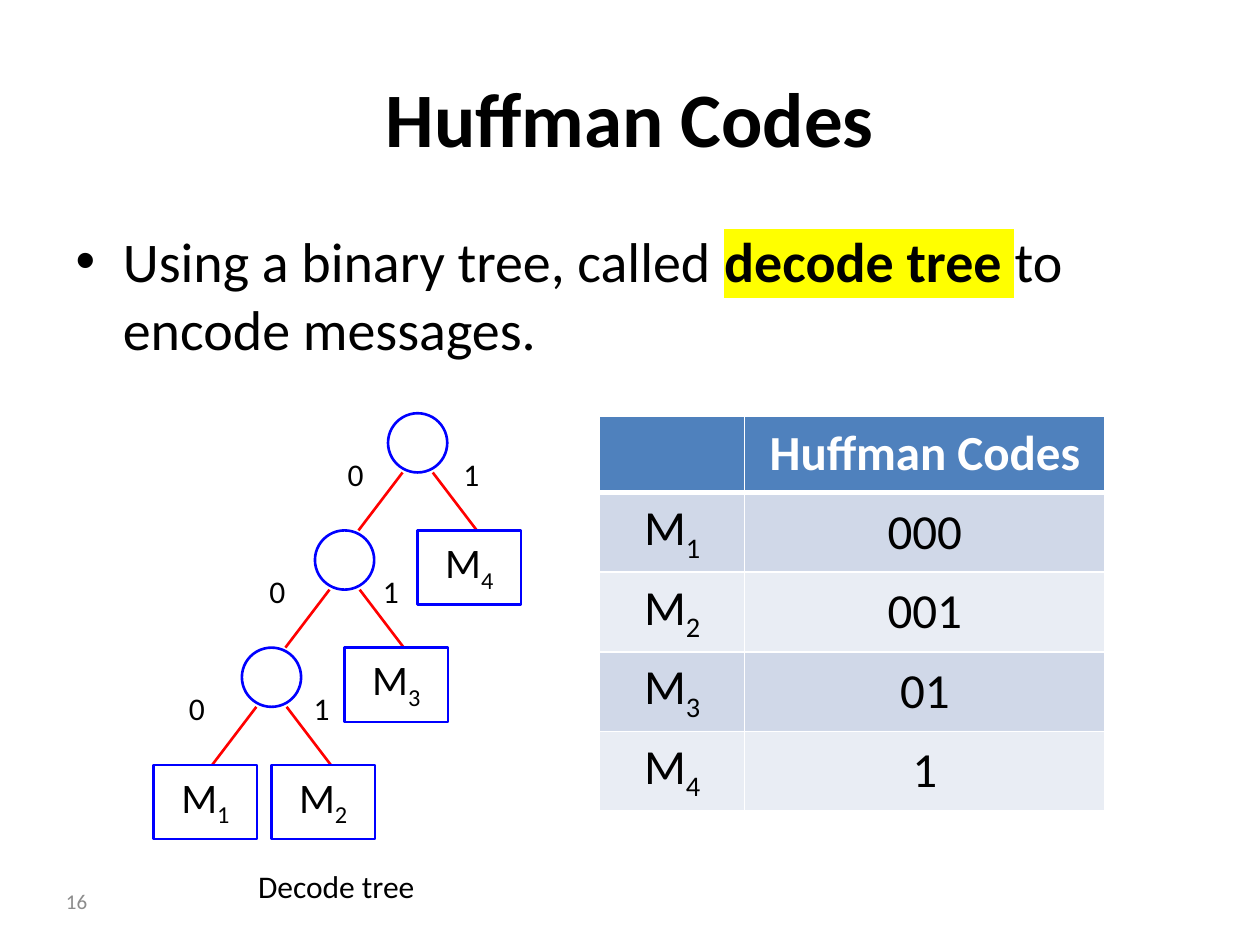
from pptx import Presentation
from pptx.dml.color import RGBColor
from pptx.enum.shapes import MSO_CONNECTOR as Conn, MSO_SHAPE as Geo
from pptx.enum.text import MSO_ANCHOR as Anchor, PP_ALIGN as Align
from pptx.oxml import parse_xml
from pptx.oxml.ns import nsdecls
from pptx.util import Inches, Pt

# Content
TITLE = "Huffman Codes"
BODY = [("Using a binary tree, called ", False), ("decode tree ", True),
        ("to encode messages.", False)]
CODES = [("1", "000"), ("2", "001"), ("3", "01"), ("4", "1")]
# Each level: right leaf, left edge of the 0 and 1 labels
LEVELS = [("4", 2.66, 3.58), ("3", 2.04, 2.94), ("2", 1.4, 2.39)]
CAPTION, NUMBER = "Decode tree", "16"

# Style
FONT = "Calibri"
BLACK, WHITE = RGBColor(0, 0, 0), RGBColor(255, 255, 255)
GRAY = RGBColor(0x8C, 0x8C, 0x8C)
BLUE, RED = RGBColor(0, 0, 255), RGBColor(255, 0, 0)
HEAD = RGBColor(0x4F, 0x81, 0xBD)
BANDS = [RGBColor(0xD0, 0xD8, 0xE8), RGBColor(0xE9, 0xED, 0xF4)]

# Tree grid
TOP_X, TOP_Y = 3.08, 3.28
STEP_X, STEP_Y = 0.58, 0.93
NODE, LEAF_W, LEAF_H = 0.47, 0.82, 0.59

deck = Presentation()
deck.slide_width, deck.slide_height = Inches(10), Inches(7.5)
slide = deck.slides.add_slide(deck.slide_layouts[1])
shapes = slide.shapes


def place(shape, *box):
    shape.left, shape.top, shape.width, shape.height = map(Inches, box)


def style(run, size, color=BLACK, bold=False):
    font = run.font
    font.name, font.size, font.bold = FONT, Pt(size), bold
    font.color.rgb = color


def write(frame, text, size, color=BLACK, bold=False, sub="", align=Align.CENTER):
    para = frame.paragraphs[0]
    para.text, para.alignment = text, align
    style(para.runs[0], size, color, bold)
    if sub:
        low = para.add_run()
        low.text = sub
        style(low, size, color, bold)
        low.font._element.set("baseline", "-25000")


def label(text, box, size=18, color=BLACK, align=Align.LEFT):
    frame = shapes.add_textbox(*map(Inches, box)).text_frame
    frame.word_wrap = False
    write(frame, text, size, color, align=align)
    return frame


def outline(geo, *box):
    shape = shapes.add_shape(geo, *map(Inches, box))
    shape.shadow.inherit = False
    shape.fill.background()
    shape.line.color.rgb, shape.line.width = BLUE, Pt(1.5)
    return shape


def leaf(sub, x, y):
    frame = outline(Geo.RECTANGLE, x, y, LEAF_W, LEAF_H).text_frame
    frame.vertical_anchor = Anchor.TOP
    write(frame, "M", 24, sub=sub)


def edge(*ends):
    line = shapes.add_connector(Conn.STRAIGHT, *map(Inches, ends))
    line.line.color.rgb, line.line.width = RED, Pt(1.5)
    line._element.spPr.append(parse_xml(f"<a:effectLst {nsdecls('a')}/>"))


def border(cell, **widths):
    props = cell._tc.get_or_add_tcPr()
    for side in "LRTB":
        width = Pt(widths.get(side, 1))
        props.append(parse_xml(
            f'<a:ln{side} {nsdecls("a")} w="{width}"><a:solidFill>'
            f'<a:srgbClr val="{WHITE}"/></a:solidFill></a:ln{side}>'))


# Title and bullet
title, body = shapes.title, slide.placeholders[1]
place(title, 0.5, 0.3, 9, 1.25)
write(title.text_frame, TITLE, 44, bold=True)
place(body, 0.5, 1.75, 9, 4.95)
para = body.text_frame.paragraphs[0]
for text, marked in BODY:
    run = para.add_run()
    run.text = text
    style(run, 32, bold=marked)
    if marked:
        fill = run.font._element.find("{*}solidFill")
        fill.addnext(parse_xml(f'<a:highlight {nsdecls("a")}>'
                               '<a:srgbClr val="FFFF00"/></a:highlight>'))

# Decode tree
for level, (sub, zero, one) in enumerate(LEVELS):
    x, y = TOP_X - level * STEP_X, TOP_Y + level * STEP_Y
    mid, low, down = x + NODE / 2, y + NODE, y + STEP_Y
    outline(Geo.OVAL, x, y, NODE, NODE)
    for side in (-1, 1):
        edge(mid + side * 0.12, low, mid + side * 0.47, down)
    leaf(sub, mid, down)
    for text, left in (("0", zero), ("1", one)):
        label(text, (left, y + 0.28, 0.38, 0.47))
leaf("1", x - 0.7, down)
label(CAPTION, (1.95, 6.83, 1.46, 0.4))

# Code table
rows = len(CODES) + 1
grid = shapes.add_table(rows, 2, Inches(4.76), Inches(3.3),
                        Inches(4.01), Inches(0.61 * rows)).table
grid.columns[0].width, grid.columns[1].width = Inches(1.15), Inches(2.86)
for r in range(rows):
    for c in range(2):
        cell = grid.cell(r, c)
        cell.vertical_anchor = Anchor.MIDDLE
        border(cell, T=3 if r == 1 else 1, B=3 if r == 0 else 1)
        cell.fill.solid()
        cell.fill.fore_color.rgb = BANDS[(r - 1) % 2] if r else HEAD
write(grid.cell(0, 1).text_frame, TITLE, 28, WHITE, True)
for r, (sub, code) in enumerate(CODES, 1):
    write(grid.cell(r, 0).text_frame, "M", 28, sub=sub)
    write(grid.cell(r, 1).text_frame, code, 28)

# Slide number
frame = label(NUMBER, (0.2, 6.95, 0.59, 0.4), 12, GRAY, Align.RIGHT)
frame.word_wrap, frame.vertical_anchor = True, Anchor.MIDDLE

deck.save("out.pptx")
